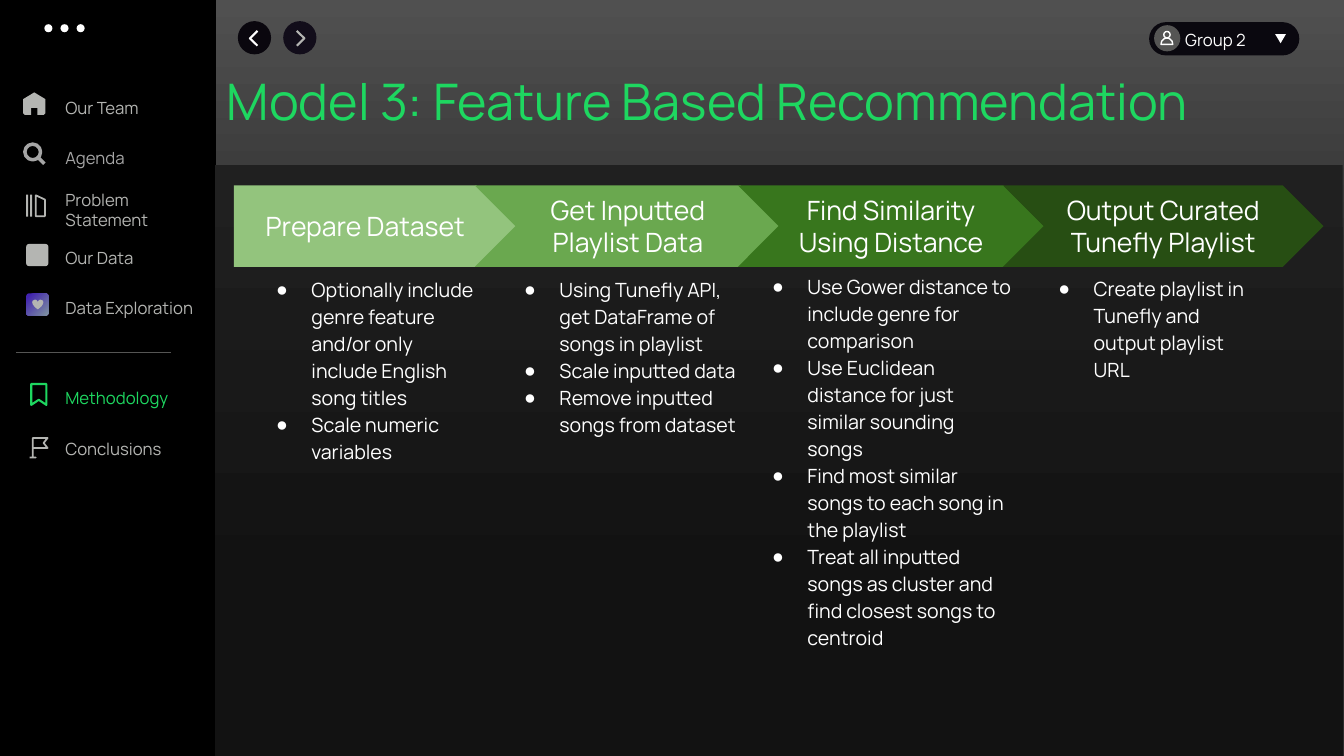
"""Build the Model 3 slide on a grid of 160 columns by 90 rows."""
import dataclasses

import lxml.etree
import pptx
import pptx.dml.color
import pptx.enum.shapes
import pptx.enum.text
import pptx.oxml.ns
import pptx.util

Kind = pptx.enum.shapes.MSO_SHAPE
Align = pptx.enum.text.PP_ALIGN
Anchor = pptx.enum.text.MSO_ANCHOR
qname = pptx.oxml.ns.qn


@dataclasses.dataclass(frozen=True)
class Theme:
    font: str = "Manrope"
    white: str = "FFFFFF"
    black: str = "000000"
    green: str = "1ED760"
    light: str = "B4B5B2"
    grey: str = "A5A5A5"
    dark: str = "555554"
    pill: str = "0A080F"
    back: str = "0A070E"
    next: str = "120D1A"
    page: tuple = (("505050", 0), ("2C2C2C", 0.4))
    panel: tuple = (("202020", 0), ("121212", 0.73))
    badge: tuple = (("4224B0", 0.11), ("7F93A0", 1))
    steps: tuple = ("93C47D", "6AA84F", "38761D", "274E13")
    title: float = 36
    head: float = 19
    body: float = 14
    menu: float = 12


def rgb(code):
    return pptx.dml.color.RGBColor.from_string(code)


def blend(fill, stops, angle=270):
    fill.gradient()
    fill.gradient_angle = angle
    for stop, (color, place) in zip(fill.gradient_stops, stops):
        stop.color.rgb = rgb(color)
        stop.position = place


def write(shape, text, font, size, color, align=Align.LEFT, anchor=Anchor.TOP,
          inset=(0.1, 0.05), bullet=None, space=1):
    frame = shape.text_frame
    frame.word_wrap = True
    frame.auto_size = pptx.enum.text.MSO_AUTO_SIZE.NONE
    frame.vertical_anchor = anchor
    frame.margin_left = frame.margin_right = pptx.util.Inches(inset[0])
    frame.margin_top = frame.margin_bottom = pptx.util.Inches(inset[1])
    for i, line in enumerate(text.split("\n")):
        para = frame.add_paragraph() if i else frame.paragraphs[0]
        para.alignment = align
        para.line_spacing = space
        para.space_before = pptx.util.Pt(0)
        if bullet:
            props = para._p.get_or_add_pPr()
            props.set("marL", str(pptx.util.Inches(0.5)))
            props.set("indent", str(pptx.util.Inches(-0.35)))
            lxml.etree.SubElement(props, qname("a:buChar")).set("char", bullet)
        run = para.add_run()
        run.text = line
        run.font.name = font
        run.font.size = pptx.util.Pt(size)
        run.font.bold = False
        run.font.color.rgb = rgb(color)


class Board:
    def __init__(self, deck, theme):
        self.theme = theme
        self.slide = deck.slides.add_slide(deck.slide_layouts[4])
        self.holds = list(self.slide.placeholders)
        self.cell = deck.slide_width / 160
        blend(self.slide.background.fill, theme.page)

    def grid(self, *cells):
        return [round(c * self.cell) for c in cells]

    def paint(self, item, fill=None, line=None, width=1):
        item.shadow.inherit = False
        if isinstance(fill, tuple):
            blend(item.fill, fill, 315 if fill == self.theme.badge else 270)
        elif fill:
            item.fill.solid()
            item.fill.fore_color.rgb = rgb(fill)
        else:
            item.fill.background()
        if line:
            item.line.color.rgb = rgb(line)
            item.line.width = pptx.util.Pt(width)
        else:
            item.line.fill.background()
        return item

    def shape(self, kind, box, fill=None, line=None, width=1, round_by=None):
        item = self.slide.shapes.add_shape(kind, *self.grid(*box))
        if round_by is not None:
            item.adjustments[0] = round_by
        return self.paint(item, fill, line, width)

    def outline(self, points, fill=None, line=None, width=1.25, close=False):
        spots = [self.grid(*p) for p in points]
        pen = self.slide.shapes.build_freeform(*spots[0], scale=1)
        pen.add_line_segments(spots[1:], close=close)
        return self.paint(pen.convert_to_shape(), fill, line, width)

    def rule(self, start, end, color, width=0.75):
        line = self.slide.shapes.add_connector(
            pptx.enum.shapes.MSO_CONNECTOR.STRAIGHT, *self.grid(*start, *end))
        line.line.color.rgb = rgb(color)
        line.line.width = pptx.util.Pt(width)
        lxml.etree.SubElement(line._element.spPr, qname("a:effectLst"))

    def label(self, box, text, color):
        item = self.slide.shapes.add_textbox(*self.grid(*box))
        write(item, text, self.theme.font, self.theme.menu, color)

    def fill_hold(self, index, box, text, **style):
        hold = self.holds[index]
        hold.left, hold.top, hold.width, hold.height = self.grid(*box)
        hold.element.getparent().append(hold.element)
        write(hold, text, self.theme.font, **style)

    def step(self, index, left, width, head, box, text):
        theme = self.theme
        kind = Kind.CHEVRON if index else Kind.PENTAGON
        arrow = self.shape(kind, (left, 22.06, width, 9.72), theme.steps[index])
        write(arrow, head, theme.font, theme.head, theme.white, align=Align.CENTER,
              anchor=Anchor.MIDDLE, inset=(0.13, 0.13))
        self.fill_hold(index + 1, (*box, 47), text, size=theme.body, color=theme.white,
                       inset=(0.13, 0.13), bullet="●", space=1.15)


def draw_menu(board):
    theme = board.theme
    light = theme.light
    board.shape(Kind.RECTANGLE, (0, 0, 25.6, 90), theme.black, theme.black)
    for i in range(3):
        board.shape(Kind.OVAL, (5.28 + 1.92 * i, 2.88, 0.96, 0.96), theme.white)
    for top, text, color in (
            (11.04, "Our Team", light), (17.04, "Agenda", theme.grey),
            (21.96, "Problem\nStatement", light), (28.92, "Our Data", light),
            (34.8, "Data Exploration", light), (45.6, "Methodology", theme.green),
            (51.6, "Conclusions", light)):
        board.label((6.6, top, 19, 3.6 + 2.4 * text.count("\n")), text, color)
    board.rule((1.92, 42), (20.4, 42), theme.dark)

    board.outline([(2.76, 11.8), (4.08, 11), (5.4, 11.8), (5.4, 13.5), (5.2, 13.68),
                   (4.44, 13.68), (4.44, 12.84), (3.72, 12.84), (3.72, 13.68),
                   (2.96, 13.68), (2.76, 13.5)], fill=light, close=True)
    board.shape(Kind.OVAL, (2.96, 17.16, 1.87, 1.87), None, theme.grey, 2.5)
    board.rule((4.62, 18.84), (5.28, 19.5), theme.grey, 2.5)
    for left in (3.12, 3.6):
        board.shape(Kind.RECTANGLE, (left, 23.16, 0.24, 2.64), light)
    board.outline([(4.26, 23.25), (5.34, 23.76), (5.34, 25.74), (4.26, 25.74)],
                  line=light, close=True)
    for top, fill in ((29.04, light), (34.92, theme.badge)):
        board.shape(Kind.ROUNDED_RECTANGLE, (3.12, top, 2.64, 2.64), fill, round_by=0.13)
    board.shape(Kind.HEART, (3.84, 35.64, 1.32, 1.2), light)
    board.outline([(3.72, 48.2), (3.72, 45.72), (5.52, 45.72), (5.52, 48.2),
                   (4.62, 47.6)], line=theme.green, width=1.5, close=True)
    board.outline([(3.54, 54.48), (4.26, 54.48), (3.9, 54.48), (3.9, 52.14),
                   (5.66, 52.14), (5.2, 52.74), (5.66, 53.34), (3.9, 53.34)], line=light)


def draw_top(board):
    theme = board.theme
    white = theme.white
    for left, fill, ink, tail, tip in ((28.32, theme.back, white, 30.66, 29.76),
                                       (33.72, theme.next, theme.light, 35.34, 36.24)):
        board.shape(Kind.OVAL, (left, 2.52, 3.96, 3.96), fill)
        board.outline([(tail, 3.68), (tip, 4.56), (tail, 5.44)], line=ink, width=1.5)
    board.shape(Kind.ROUNDED_RECTANGLE, (136.8, 2.64, 17.88, 3.96), theme.pill, round_by=0.5)
    board.label((139.92, 3, 10.44, 3.6), "Group 2", white)
    board.shape(Kind.OVAL, (137.4, 3, 3.12, 3.12), theme.dark)
    board.shape(Kind.OVAL, (138.54, 3.75, 0.76, 0.76), None, white)
    board.outline([(138.22, 5.28), (138.3, 4.9), (138.6, 4.6), (138.92, 4.52),
                   (139.24, 4.6), (139.54, 4.9), (139.62, 5.28)],
                  line=white, width=1, close=True)
    arrow = board.shape(Kind.ISOSCELES_TRIANGLE, (151.8, 4.05, 1.3, 1.1), white)
    arrow.rotation = 180


def main():
    deck = pptx.Presentation()
    deck.slide_width = pptx.util.Inches(13.333)
    deck.slide_height = pptx.util.Inches(7.5)
    theme = Theme()
    board = Board(deck, theme)
    draw_menu(board)
    draw_top(board)
    board.shape(Kind.RECTANGLE, (25.6, 19.68, 134.24, 70.32), theme.panel)
    board.fill_hold(0, (25.8, 7.8, 134, 8.52), "Model 3: Feature Based Recommendation",
                    size=theme.title, color=theme.green)
    steps = (
        (27.84, 33.72, "Prepare Dataset", (29.52, 31.08, 29.04),
         "Optionally include genre feature and/or only include English song titles\n"
         "Scale numeric variables"),
        (56.52, 36.48, "Get Inputted Playlist Data", (59.04, 31.08, 31.32),
         "Using Tunefly API, get DataFrame of songs in playlist\n"
         "Scale inputted data\nRemove inputted songs from dataset"),
        (87.84, 36.48, "Find Similarity Using Distance", (88.56, 30.72, 33.72),
         "Use Gower distance to include genre for comparison\n"
         "Use Euclidean distance for just similar sounding songs\n"
         "Find most similar songs to each song in the playlist\n"
         "Treat all inputted songs as cluster and find closest songs to centroid"),
        (119.4, 38.16, "Output Curated Tunefly Playlist", (122.64, 30.96, 27.84),
         "Create playlist in Tunefly and output playlist URL"))
    for i, step in enumerate(steps):
        board.step(i, *step)
    deck.save("out.pptx")


if __name__ == "__main__":
    main()
